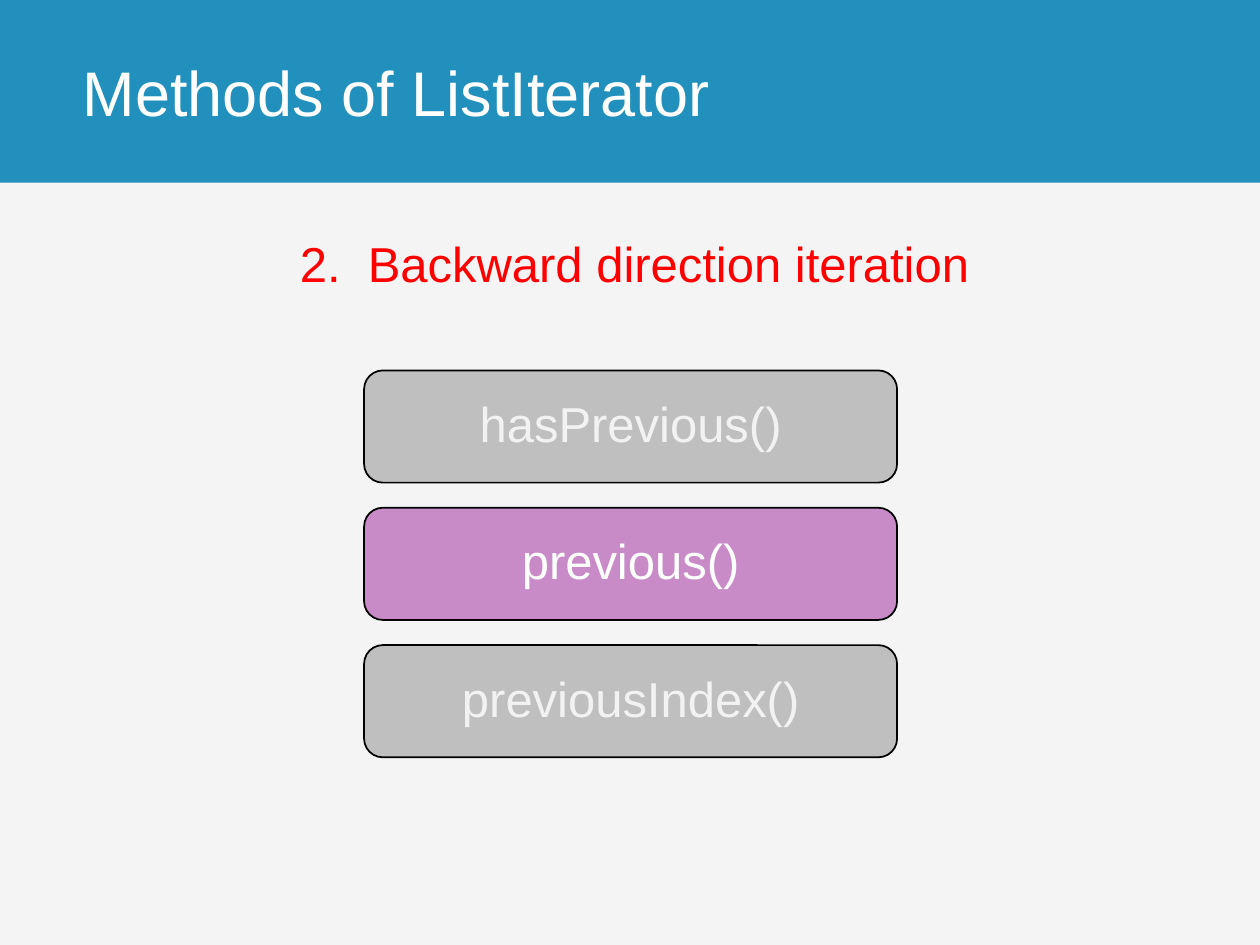
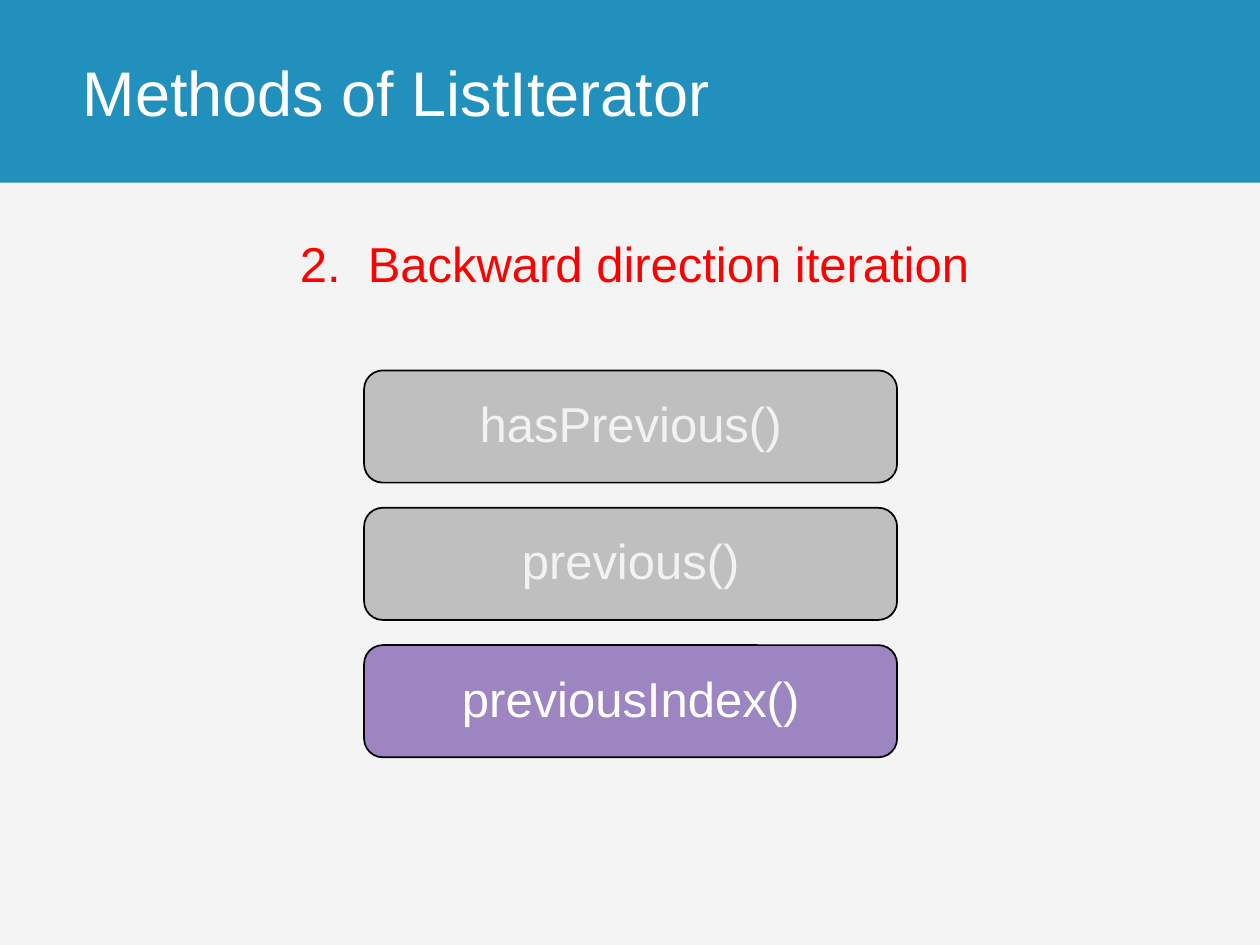
from dataclasses import dataclass

from pptx import Presentation, util as u
from pptx.dml.color import RGBColor
from pptx.enum import shapes, text


@dataclass(frozen=True)
class Theme:
    font: str = "Arial"
    title_size: int = 36
    body_size: int = 28
    background: str = "F4F4F5"
    band: str = "2190BC"
    heading: str = "FF0000"
    light: str = "FFFFFF"
    outline: str = "000000"
    muted_fill: str = "BFBFBF"
    muted_text: str = "F2F2F2"
    previous: str = "C88BC7"
    previous_index: str = "9C85C0"


theme = Theme()
presentation = Presentation()
presentation.slide_width, presentation.slide_height = u.Inches(10), u.Inches(7.5)

# Grid in inches: title band, content column and rows of method buttons
MARGIN, BAND_HEIGHT = 0.56, 1.45
BUTTON_WIDTH, BUTTON_HEIGHT = 4.23, 0.89
BUTTON_LEFT, BUTTON_TOP = 2.89, 2.94
BUTTON_PITCH = BUTTON_HEIGHT + 0.2

METHODS = ["hasPrevious()", "previous()", "previousIndex()"]
HIGHLIGHTS = [("previous()", theme.previous),
              ("previousIndex()", theme.previous_index)]


def add_box(slide, preset, left, top, width, height, fill):
    shape = slide.shapes.add_shape(preset, *map(u.Inches, (left, top, width, height)))
    shape.shadow.inherit = False
    shape.fill.solid()
    shape.fill.fore_color.rgb = RGBColor.from_string(fill)
    shape.line.fill.background()
    return shape


def write(shape, words, size, color, alignment, anchor, spacing=1.0):
    frame = shape.text_frame
    frame.word_wrap = True
    frame.vertical_anchor = anchor
    paragraph = frame.paragraphs[0]
    paragraph.text = words
    paragraph.alignment = alignment
    paragraph.line_spacing = spacing
    paragraph.font.name = theme.font
    paragraph.font.size = u.Pt(size)
    paragraph.font.color.rgb = RGBColor.from_string(color)


for active_method, active_fill in HIGHLIGHTS:
    slide = presentation.slides.add_slide(presentation.slide_layouts[6])
    slide.background.fill.solid()
    slide.background.fill.fore_color.rgb = RGBColor.from_string(theme.background)

    # Title band
    add_box(slide, shapes.MSO_SHAPE.RECTANGLE, 0, 0, 10, BAND_HEIGHT, theme.band)
    title = slide.shapes.add_textbox(
        u.Inches(MARGIN), 0, u.Inches(10 - MARGIN), u.Inches(BAND_HEIGHT))
    write(title, "Methods of ListIterator", theme.title_size, theme.light,
          text.PP_ALIGN.LEFT, text.MSO_ANCHOR.MIDDLE)

    # Section heading
    heading = slide.shapes.add_textbox(
        *map(u.Inches, (MARGIN, 1.57, 8.95, 5.83)))
    write(heading, "2.  Backward direction iteration", theme.body_size, theme.heading,
          text.PP_ALIGN.CENTER, text.MSO_ANCHOR.TOP, 1.5)

    # Method buttons, with the current one in colour
    for row, method in enumerate(METHODS):
        active = method == active_method
        button = add_box(slide, shapes.MSO_SHAPE.ROUNDED_RECTANGLE,
                         BUTTON_LEFT, BUTTON_TOP + row * BUTTON_PITCH,
                         BUTTON_WIDTH, BUTTON_HEIGHT,
                         active_fill if active else theme.muted_fill)
        button.line.color.rgb = RGBColor.from_string(theme.outline)
        button.line.width = u.Pt(1)
        write(button, method, theme.body_size,
              theme.light if active else theme.muted_text,
              text.PP_ALIGN.CENTER, text.MSO_ANCHOR.MIDDLE, 0.9)

presentation.save("out.pptx")
